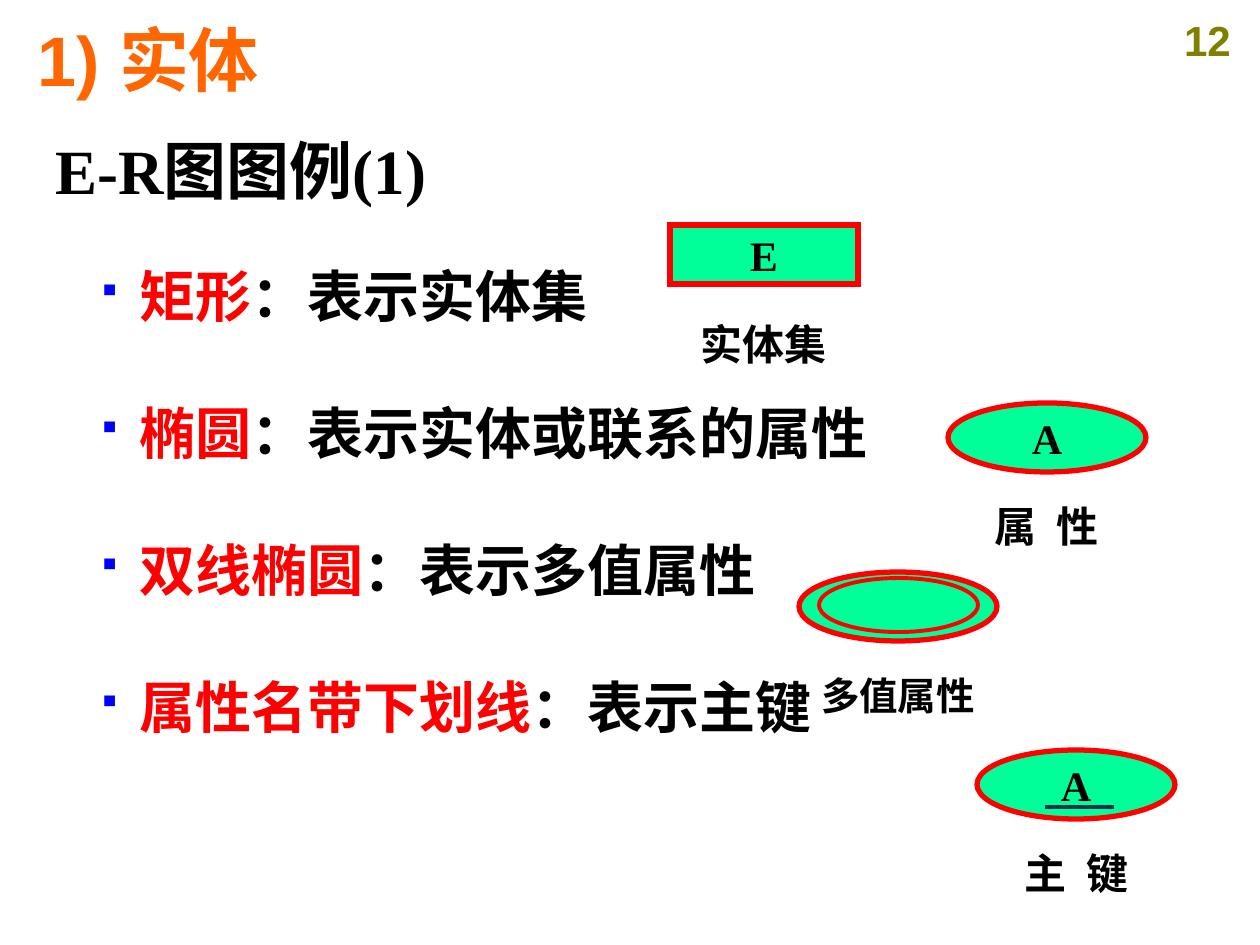
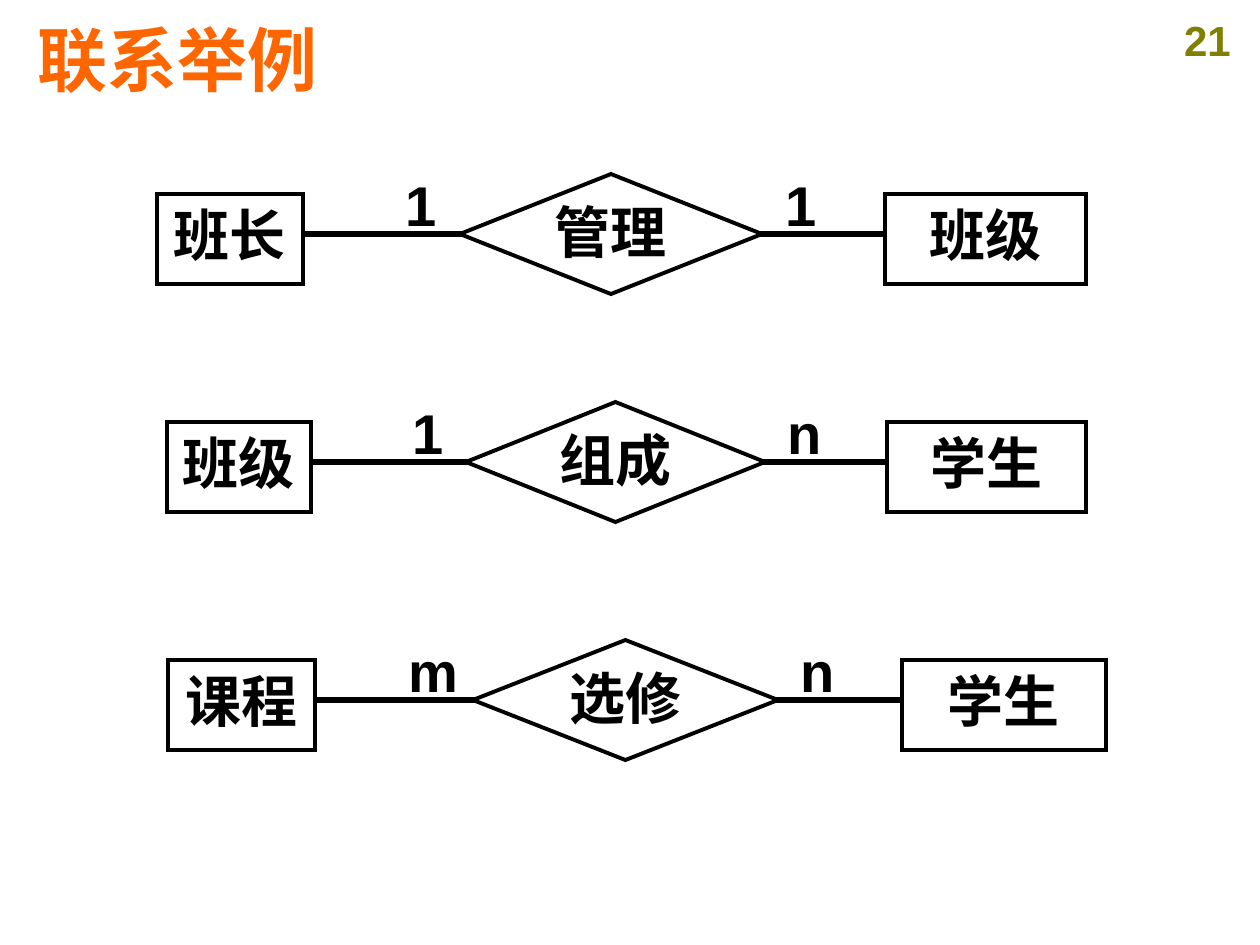
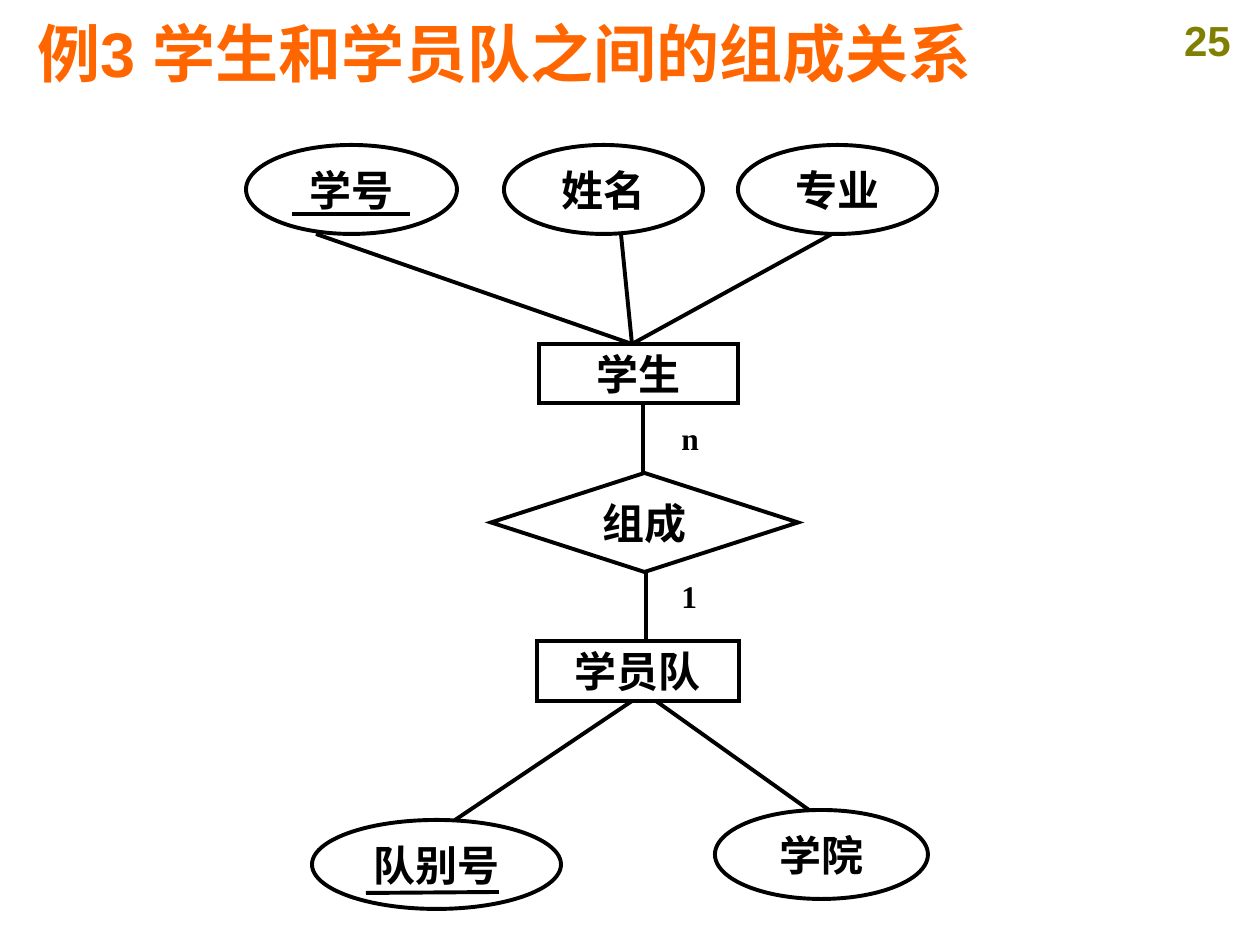
import pptx
import pptx.util
import pptx.dml.color
import pptx.enum.shapes
import pptx.enum.text
import pptx.oxml.ns
from dataclasses import dataclass
from lxml import etree

SHAPE = pptx.enum.shapes.MSO_SHAPE
ALIGN = pptx.enum.text.PP_ALIGN
ANCHOR = pptx.enum.text.MSO_ANCHOR
qn = pptx.oxml.ns.qn


@dataclass(frozen=True)
class Theme:
    sans: str = "Arial"
    serif: str = "Times New Roman"
    bullet_font: str = "Wingdings"
    title: str = "FF6600"
    number: str = "808000"
    ink: str = "000000"
    paper: str = "FFFFFF"
    accent: str = "FF0000"
    symbol: str = "00FF99"
    bullet: str = "0000FF"
    key_line: str = "00354E"
    title_size: int = 40
    head_size: int = 36
    body_size: int = 32
    label_size: int = 24
    small_label_size: int = 22
    ratio_size: int = 18
    thin: float = 2
    line: float = 2.25
    thick: float = 3


T = Theme()


def px(n):
    return pptx.util.Emu(round(n * 914400 / 126))


def rgb(color):
    return pptx.dml.color.RGBColor.from_string(color)


def add_run(p, text, size, font, color=T.ink):
    r = p.add_run()
    r.text = text
    r.font.size = pptx.util.Pt(size)
    r.font.name = font
    r.font.bold = True
    r.font.color.rgb = rgb(color)
    return r


def set_frame(sp, anchor=ANCHOR.TOP, wrap=True, side=None):
    tf = sp.text_frame
    tf.word_wrap = wrap
    tf.vertical_anchor = anchor
    if side is not None:
        tf.margin_left = tf.margin_right = px(side)
    return tf


def add_text(s, box, text, size, font, color=T.ink, align=ALIGN.CENTER,
             anchor=ANCHOR.TOP, side=None):
    sp = s.shapes.add_textbox(*map(px, box))
    p = set_frame(sp, anchor, True, side).paragraphs[0]
    p.alignment = align
    add_run(p, text, size, font, color)
    return p


def add_symbol(s, kind, box, fill=None, line=T.ink, width=T.line):
    sp = s.shapes.add_shape(kind, *map(px, box))
    sp.shadow.inherit = False
    if fill:
        sp.fill.solid()
        sp.fill.fore_color.rgb = rgb(fill)
    else:
        sp.fill.background()
    sp.line.color.rgb = rgb(line)
    sp.line.width = pptx.util.Pt(width)
    ln = sp._element.spPr.find(qn("a:ln"))
    etree.SubElement(ln, qn("a:miter"), lim="800000")
    return sp


def add_node(s, kind, box, text, **style):
    sp = add_symbol(s, kind, box, **style)
    p = set_frame(sp, ANCHOR.MIDDLE, False).paragraphs[0]
    p.alignment = ALIGN.CENTER
    add_run(p, text, T.label_size, T.serif)


def add_line(s, x1, y1, x2, y2, width=T.line, color=T.ink):
    kind = pptx.enum.shapes.MSO_CONNECTOR.STRAIGHT
    cn = s.shapes.add_connector(kind, *map(px, (x1, y1, x2, y2)))
    cn.line.color.rgb = rgb(color)
    cn.line.width = pptx.util.Pt(width)
    etree.SubElement(cn._element.spPr, qn("a:effectLst"))


def set_indent(p, left, first):
    pPr = p._p.get_or_add_pPr()
    pPr.set("marL", str(px(left)))
    pPr.set("indent", str(px(first)))
    return pPr


def add_bullet(p):
    pPr = set_indent(p, 112, -38)
    clr = etree.SubElement(pPr, qn("a:buClr"))
    etree.SubElement(clr, qn("a:srgbClr"), val=T.bullet)
    etree.SubElement(pPr, qn("a:buSzPct"), val="65000")
    etree.SubElement(pPr, qn("a:buFont"), typeface=T.bullet_font, charset="2")
    etree.SubElement(pPr, qn("a:buChar"), char="§")


def add_slide(prs, title, number, size=T.title_size, top=24, height=69):
    s = prs.slides.add_slide(prs.slide_layouts[6])
    add_text(s, (1163, 8, 89, 63), number, T.label_size, T.sans, T.number)
    add_text(s, (25, top, 1193, height), title, size, T.sans, T.title,
             ALIGN.LEFT, ANCHOR.MIDDLE)
    return s


def add_legend_text(s, heading, items):
    sp = s.shapes.add_textbox(*map(px, (15, 125, 1206, 753)))
    tf = set_frame(sp)
    p = tf.paragraphs[0]
    set_indent(p, 28, 0)
    add_run(p, heading, T.head_size, T.serif)
    for i, (term, meaning) in enumerate(items):
        p = tf.add_paragraph()
        add_bullet(p)
        p.space_before = pptx.util.Pt(40 if i else 31)
        add_run(p, term, T.body_size, T.serif, T.accent)
        add_run(p, meaning, T.body_size, T.serif)


def add_caption(s, center, top, words, size=T.label_size):
    p = add_text(s, (center - 94, top, 188, 63), words[0], size, T.serif)
    for word in words[1:]:
        gap = add_run(p, " ", size, T.serif)
        gap.font._element.set("spc", "600")
        add_run(p, word, size, T.serif)


def add_relation_row(s, top, left, right, diamond, left_ratio, right_ratio):
    for (x, w, text) in (left, right):
        sp = add_symbol(s, SHAPE.RECTANGLE, (x, top, w, 90))
        p = set_frame(sp, side=0).paragraphs[0]
        p.alignment = ALIGN.CENTER
        add_run(p, text, T.body_size, T.sans)
    add_line(s, left[0] + left[1], top + 40, right[0], top + 40, T.thick)

    x, w, text = diamond
    sp = add_symbol(s, SHAPE.FLOWCHART_DECISION, (x, top - 20, w, 120), T.paper)
    p = set_frame(sp).paragraphs[0]
    p.alignment = ALIGN.CENTER
    p.line_spacing = 0.8
    add_run(p, text, T.body_size, T.sans)

    for x, text in (left_ratio, right_ratio):
        add_text(s, (x, top - 30, left[1], 90), text, T.body_size, T.sans, side=0)


def build_entity_legend(prs):
    s = add_slide(prs, "1) 实体", "12")
    add_legend_text(s, "E-R图图例(1)", [
        ("矩形", "：表示实体集"),
        ("椭圆", "：表示实体或联系的属性"),
        ("双线椭圆", "：表示多值属性"),
        ("属性名带下划线", "：表示主键"),
    ])
    style = dict(fill=T.symbol, line=T.accent)
    bold = dict(style, width=T.thick)
    add_node(s, SHAPE.RECTANGLE, (670, 225, 188, 59), "E", **bold)
    add_node(s, SHAPE.OVAL, (948, 403, 198, 69), "A", **bold)
    add_symbol(s, SHAPE.OVAL, (799, 572, 198, 69), **bold)
    add_symbol(s, SHAPE.OVAL, (819, 578, 159, 54), **style)
    add_node(s, SHAPE.OVAL, (977, 750, 198, 69), "A", **bold)
    add_line(s, 1045, 807, 1114, 807, color=T.key_line)
    add_caption(s, 764, 312, ["实体集"])
    add_caption(s, 1047, 494, ["属", "性"])
    add_caption(s, 898, 666, ["多值属性"], T.small_label_size)
    add_caption(s, 1077, 841, ["主", "键"])


def build_relation_examples(prs):
    s = add_slide(prs, "联系举例", "21")
    rows = [
        (194, (157, 146, "班长"), (885, 201, "班级"), (460, 302, "管理"),
         (348, "1"), (728, "1")),
        (422, (167, 144, "班级"), (887, 199, "学生"), (466, 299, "组成"),
         (356, "1"), (733, "n")),
        (660, (168, 147, "课程"), (902, 204, "学生"), (473, 305, "选修"),
         (360, "m"), (744, "n")),
    ]
    for row in rows:
        add_relation_row(s, *row)


def build_student_team(prs):
    s = add_slide(prs, "例3 学生和学员队之间的组成关系", "25", T.head_size, 26, 53)
    nodes = [
        (SHAPE.RECTANGLE, (539, 344, 199, 59), "学生"),
        (SHAPE.OVAL, (246, 145, 211, 89), "学号"),
        (SHAPE.OVAL, (504, 145, 199, 89), "姓名"),
        (SHAPE.OVAL, (738, 145, 199, 89), "专业"),
        (SHAPE.RECTANGLE, (537, 641, 202, 60), "学员队"),
        (SHAPE.OVAL, (312, 820, 249, 89), "队别号"),
        (SHAPE.OVAL, (715, 810, 213, 89), "学院"),
        (SHAPE.DIAMOND, (491, 473, 307, 99), "组成"),
    ]
    for node in nodes:
        add_node(s, *node)
    for x in (316, 621, 832):
        add_line(s, x, 234, 632, 344)
    add_line(s, 632, 701, 455, 820)
    add_line(s, 809, 810, 656, 701)
    add_line(s, 292, 214, 410, 214)
    add_line(s, 366, 893, 499, 892)
    add_line(s, 643, 473, 643, 403, T.thin)
    add_line(s, 646, 572, 646, 641, T.thin)
    for top, ratio in ((413, "n"), (571, "1")):
        add_text(s, (669, top, 39, 50), ratio, T.ratio_size, T.serif,
                 align=ALIGN.LEFT)


def main():
    prs = pptx.Presentation()
    prs.slide_width = px(1260)
    prs.slide_height = px(945)
    build_entity_legend(prs)
    build_relation_examples(prs)
    build_student_team(prs)
    prs.save("out.pptx")


if __name__ == "__main__":
    main()
